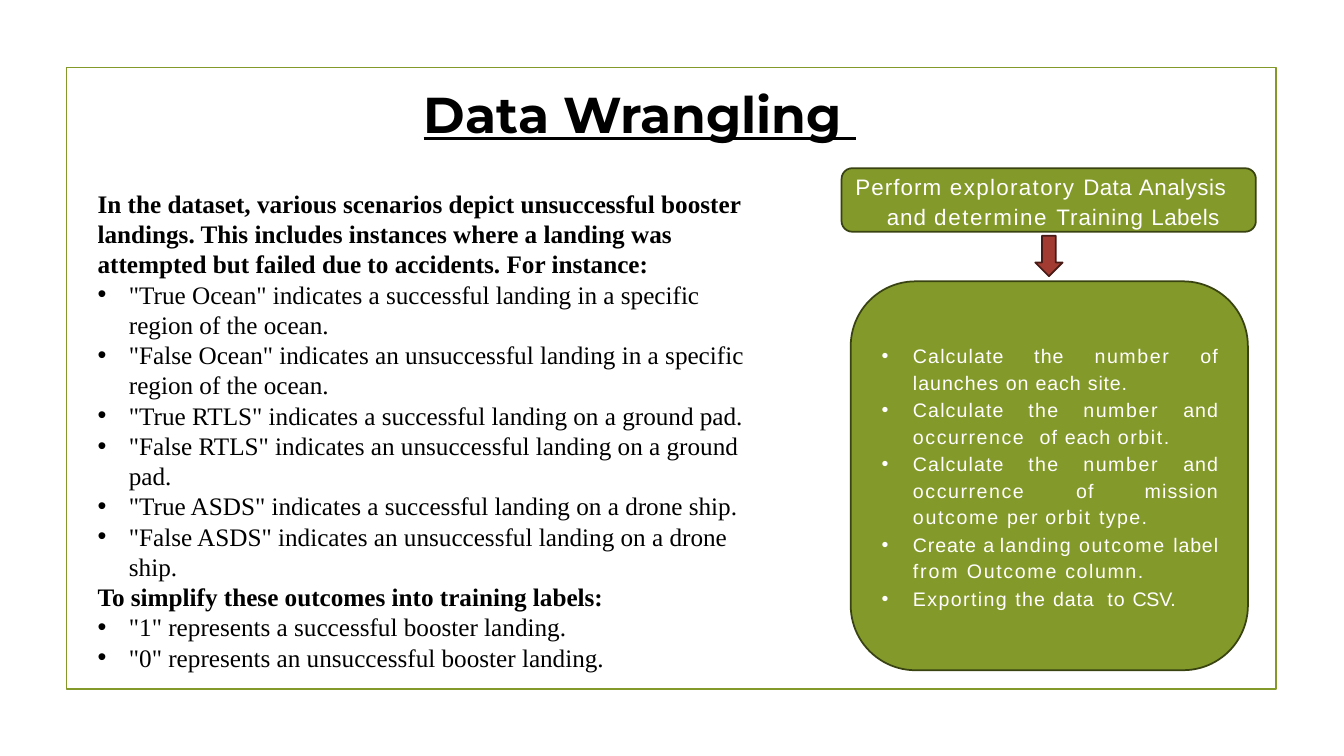
from pptx import Presentation
from pptx.dml.color import RGBColor
from pptx.enum.shapes import MSO_SHAPE as Preset
from pptx.enum.text import MSO_ANCHOR as Anchor, MSO_AUTO_SIZE as AutoSize, PP_ALIGN as Align
from pptx.oxml.ns import qn
from pptx.util import Cm, Pt
from lxml.etree import SubElement

OLIVE = RGBColor(0x83, 0x99, 0x2A)
DARK_OLIVE = RGBColor(0x39, 0x43, 0x12)
RED = RGBColor(0xA2, 0x3C, 0x33)
DARK_RED = RGBColor(0x47, 0x1A, 0x16)
BLACK = RGBColor(0, 0, 0)
WHITE = RGBColor(0xFF, 0xFF, 0xFF)

HANGING = 0.79

# Each entry: text, is it a bullet
SCENARIOS = [
    ("In the dataset, various scenarios depict unsuccessful booster landings. This includes "
     "instances where a landing was attempted but failed due to accidents. For instance:", False),
    ('"True Ocean" indicates a successful landing in a specific region of the ocean.', True),
    ('"False Ocean" indicates an unsuccessful landing in a specific region of the ocean.', True),
    ('"True RTLS" indicates a successful landing on a ground pad.', True),
    ('"False RTLS" indicates an unsuccessful landing on a ground pad.', True),
    ('"True ASDS" indicates a successful landing on a drone ship.', True),
    ('"False ASDS" indicates an unsuccessful landing on a drone ship.', True),
    ("To simplify these outcomes into training labels:", False),
    ('"1" represents a successful booster landing.', True),
    ('"0" represents an unsuccessful booster landing.', True),
]

# Each span: text, letter spacing in points
FIRST_STEP = [[("Perform ", 0.8), ("exploratory ", 1), ("Data ", 0.3), ("Analysis  ", 0.4),
               ("and ", 0.7), ("determine ", 1.2), ("Training ", 0.7), ("Labels", 0.3)]]
COUNT_BY = [("Calculate ", 0.8), ("the ", 0.9), ("number ", 1.1), ("and ", 0.7)]
TASKS = [
    [("Calculate the ", 0.8), ("number ", 1.1), ("of ", 0.8), ("launches ", 0.7),
     ("on each site.", 0.6)],
    COUNT_BY + [("occurrence  ", 1.1), ("of ", 0.8), ("each ", 0.7), ("orbit.", 1.1)],
    COUNT_BY + [("occurrence ", 1.1), ("of mission ", 0.8), ("outcome ", 1.2), ("per ", 0.8),
                ("orbit ", 1.2), ("type.", 1)],
    [("Create ", 0.6), ("a ", -0.1), ("landing ", 0.9), ("outcome ", 1.2), ("label ", 0.6),
     ("from ", 1.3), ("Outcome ", 1.2), ("column.", 1.1)],
    [("Exporting ", 1), ("the ", 0.9), ("data  ", 0.6), ("to ", 0.8), ("CSV.", -0.2)],
]


def place(shape, left, top, width, height):
    shape.left, shape.top = Cm(left), Cm(top)
    shape.width, shape.height = Cm(width), Cm(height)


def style(font, name, size, color, bold=False):
    font.name, font.size, font.bold = name, Pt(size), bold
    font.color.rgb = color


def hang(para, margin, bullet=True):
    properties = para._p.get_or_add_pPr()
    properties.set("marL", str(Cm(margin)))
    properties.set("indent", str(-Cm(HANGING)))
    if bullet:
        SubElement(properties, qn("a:buFont")).set("typeface", "Arial")
        SubElement(properties, qn("a:buChar")).set("char", "•")


def paragraphs(frame, count):
    return [frame.paragraphs[0]] + [frame.add_paragraph() for _ in range(count - 1)]


def add_title(page, text):
    title = page.shapes.title
    place(title, 8.61, 1.96, 15.04, 1.8)
    frame = title.text_frame
    frame.text = text
    frame.vertical_anchor = Anchor.TOP
    frame.auto_size = AutoSize.NONE
    para = frame.paragraphs[0]
    para.alignment = Align.CENTER
    style(para.runs[0].font, "Montserrat", 36, BLACK, bold=True)
    para.runs[0].font.underline = True


def add_preset(page, preset, area, fill, line):
    shape = page.shapes.add_shape(preset, *map(Cm, area))
    shape.shadow.inherit = False
    if fill is None:
        shape.fill.background()
    else:
        shape.fill.solid()
        shape.fill.fore_color.rgb = fill
    shape.line.color.rgb = line
    shape.line.width = Pt(1.25)
    return shape


def add_scenarios(page, area):
    box = page.shapes.add_textbox(*map(Cm, area))
    frame = box.text_frame
    frame.word_wrap = True
    for para, (text, bullet) in zip(paragraphs(frame, len(SCENARIOS)), SCENARIOS):
        para.text = text
        if bullet:
            hang(para, HANGING)
        style(para.runs[0].font, "Times New Roman", 18, BLACK, bold=not bullet)


def add_panel(page, area, lines, size, align, margin, bullet):
    panel = add_preset(page, Preset.ROUNDED_RECTANGLE, area, OLIVE, DARK_OLIVE)
    frame = panel.text_frame
    frame.word_wrap = True
    frame.vertical_anchor = Anchor.MIDDLE
    for index, (para, line) in enumerate(zip(paragraphs(frame, len(lines)), lines)):
        hang(para, margin, bullet)
        para.alignment = align
        para.line_spacing = 1.12
        if index:
            para.space_before = Pt(1)
        for text, spacing in line:
            span = para.add_run()
            span.text = text
            style(span.font, "Arial", size, WHITE)
            span._r.get_or_add_rPr().set("spc", str(round(spacing * 100)))


def main():
    deck = Presentation()
    deck.slide_width, deck.slide_height = Cm(33.87), Cm(19.05)
    page = deck.slides.add_slide(deck.slide_layouts[5])

    # Frame and title
    add_preset(page, Preset.RECTANGLE, (1.68, 1.7, 30.48, 15.67), None, OLIVE)
    add_title(page, "Data Wrangling ")

    # Landing scenarios on the left
    add_scenarios(page, (2.21, 4.62, 16.87, 12.57))

    # Workflow on the right
    add_panel(page, (21.21, 4.24, 10.44, 1.6), FIRST_STEP, 16, Align.LEFT, 0.81, False)
    add_preset(page, Preset.DOWN_ARROW, (26.09, 5.94, 0.69, 1.02), RED, DARK_RED)
    add_panel(page, (21.44, 7.09, 10.01, 9.8), TASKS, 14, Align.JUSTIFY, 0.84, True)

    deck.save("out.pptx")


if __name__ == "__main__":
    main()
